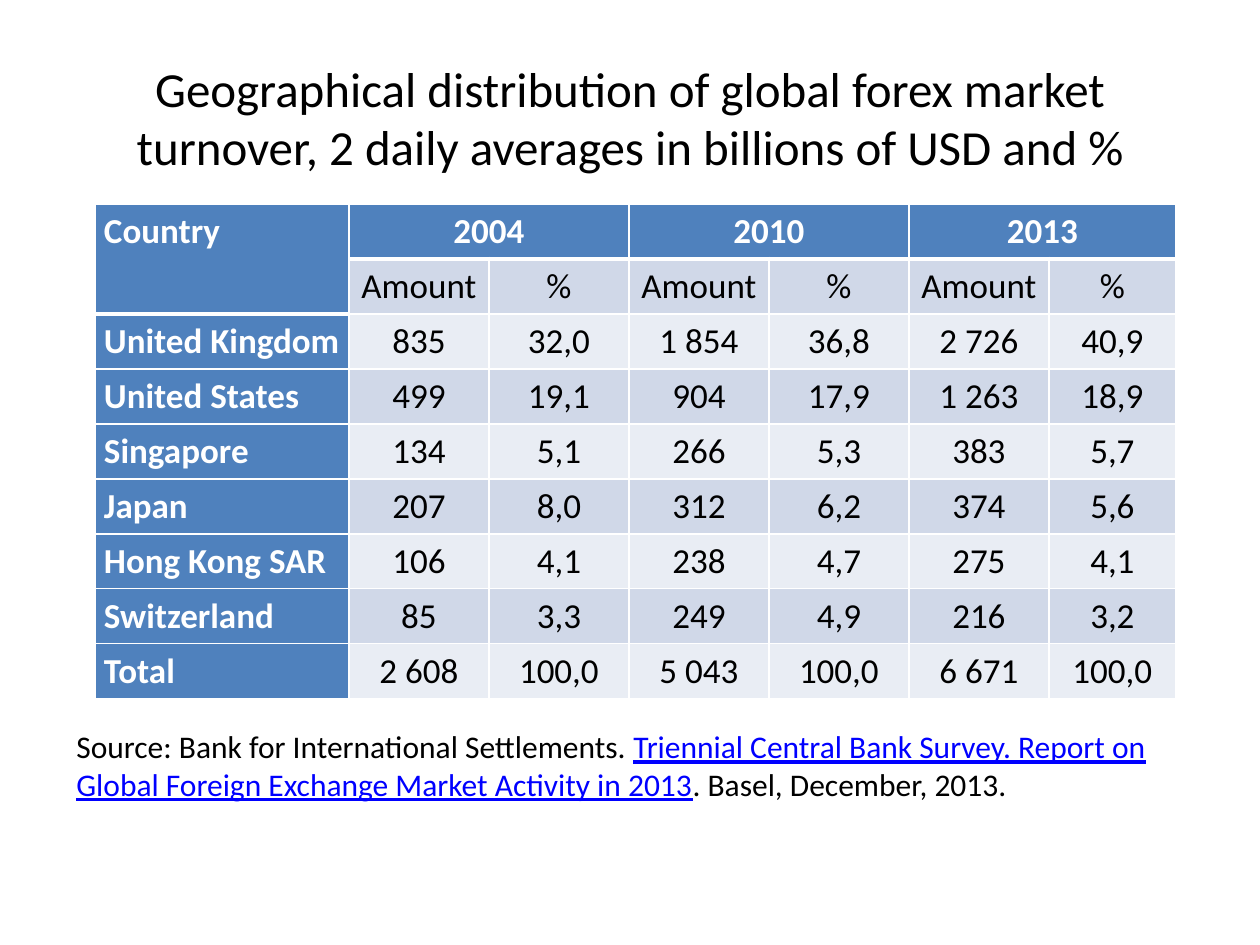
from dataclasses import dataclass

from lxml import etree
from pptx import Presentation
from pptx.dml.color import RGBColor
from pptx.enum.text import MSO_ANCHOR, PP_ALIGN
from pptx.oxml.ns import qn
from pptx.util import Pt

LEFT, CENTER = PP_ALIGN.LEFT, PP_ALIGN.CENTER
TOP, MIDDLE = MSO_ANCHOR.TOP, MSO_ANCHOR.MIDDLE

TITLE = ("Geographical distribution of global forex market turnover, "
         "2 daily averages in billions of USD and %")
YEARS = ["2004", "2010", "2013"]
PAIR = ["Amount", "%"]
DATA = [
    ["United Kingdom", "835", "32,0", "1 854", "36,8", "2 726", "40,9"],
    ["United States", "499", "19,1", "904", "17,9", "1 263", "18,9"],
    ["Singapore", "134", "5,1", "266", "5,3", "383", "5,7"],
    ["Japan", "207", "8,0", "312", "6,2", "374", "5,6"],
    ["Hong Kong SAR", "106", "4,1", "238", "4,7", "275", "4,1"],
    ["Switzerland", "85", "3,3", "249", "4,9", "216", "3,2"],
    ["Total", "2 608", "100,0", "5 043", "100,0", "6 671", "100,0"],
]
SOURCE = [  # text, is it the cited report
    ("Source: Bank for International Settlements. ", False),
    ("Triennial Central Bank Survey. Report on Global Foreign Exchange "
     "Market Activity in 2013", True),
    (". Basel, December, 2013.", False),
]


@dataclass(frozen=True)
class Theme:
    font: str = "Calibri"
    ink: str = "000000"
    white: str = "FFFFFF"
    head: str = "4F81BD"
    bands: tuple = ("E9EDF4", "D0D8E8")
    link: str = "0000FF"
    title: int = 28
    cell: int = 20
    note: int = 18
    thin: int = 1
    thick: int = 3


THEME = Theme()

SLIDE = (1260, 945)
TITLE_BOX = (63, 38, 1134, 158)
TABLE_AT = (95, 204)
COLS = [254] + [140] * 5 + [127]
ROW = 55
INSET = 9
NOTE_BOX = (64, 721, 1121, 89)


def px(n):
    return round(n * 914400 / 126)


def style(font, size, color, bold=False):
    font.name, font.size, font.bold = THEME.font, Pt(size), bold
    font.color.rgb = RGBColor.from_string(color)


def border(cell, top, bottom):
    """Draw white cell edges; call before the fill, as the schema orders it."""
    props = cell._tc.get_or_add_tcPr()
    for side, width in zip("LRTB", (THEME.thin, THEME.thin, top, bottom)):
        line = etree.SubElement(props, qn(f"a:ln{side}"), w=str(Pt(width)))
        fill = etree.SubElement(line, qn("a:solidFill"))
        etree.SubElement(fill, qn("a:srgbClr"), val=THEME.white)


def paint(cell, text, row, col):
    head = row == 0 or col == 0
    last = 1 if col == 0 else 0  # last heading row of this column
    border(cell,
           THEME.thick if row == last + 1 else THEME.thin,
           THEME.thick if row == last or row == col == 0 else THEME.thin)
    cell.fill.solid()
    color = THEME.head if head else THEME.bands[row % 2]
    cell.fill.fore_color.rgb = RGBColor.from_string(color)
    cell.margin_left = cell.margin_right = px(INSET)
    cell.margin_top = cell.margin_bottom = 0
    cell.vertical_anchor = TOP
    para = cell.text_frame.paragraphs[0]
    para.text = text
    para.alignment = CENTER if col else LEFT
    para.line_spacing = 1.15
    style(para.font, THEME.cell, THEME.white if head else THEME.ink, head)


def add_title(slide):
    title = slide.shapes.title
    title.left, title.top, title.width, title.height = map(px, TITLE_BOX)
    frame = title.text_frame
    frame.text = TITLE
    frame.vertical_anchor = MIDDLE
    para = frame.paragraphs[0]
    para.alignment = CENTER
    style(para.font, THEME.title, THEME.ink)


def add_grid(slide):
    heads = ["Country"] + [text for year in YEARS for text in (year, "")]
    rows = [heads, [""] + PAIR * len(YEARS)] + DATA
    box = (*TABLE_AT, sum(COLS), ROW * len(rows))
    table = slide.shapes.add_table(len(rows), len(COLS), *map(px, box)).table
    for col, width in zip(table.columns, COLS):
        col.width = px(width)
    for r, texts in enumerate(rows):
        table.rows[r].height = px(ROW)
        for c, text in enumerate(texts):
            paint(table.cell(r, c), text, r, c)
    table.cell(0, 0).merge(table.cell(1, 0))
    for c in range(1, len(COLS), 2):
        table.cell(0, c).merge(table.cell(0, c + 1))


def add_note(slide):
    frame = slide.shapes.add_textbox(*map(px, NOTE_BOX)).text_frame
    frame.word_wrap = True
    para = frame.paragraphs[0]
    for text, cited in SOURCE:
        run = para.add_run()
        run.text = text
        style(run.font, THEME.note, THEME.link if cited else THEME.ink)
        run.font.underline = cited


def main():
    deck = Presentation()
    deck.slide_width, deck.slide_height = map(px, SLIDE)
    slide = deck.slides.add_slide(deck.slide_layouts.get_by_name("Title Only"))
    add_title(slide)
    add_grid(slide)
    add_note(slide)
    deck.save("out.pptx")


if __name__ == "__main__":
    main()
